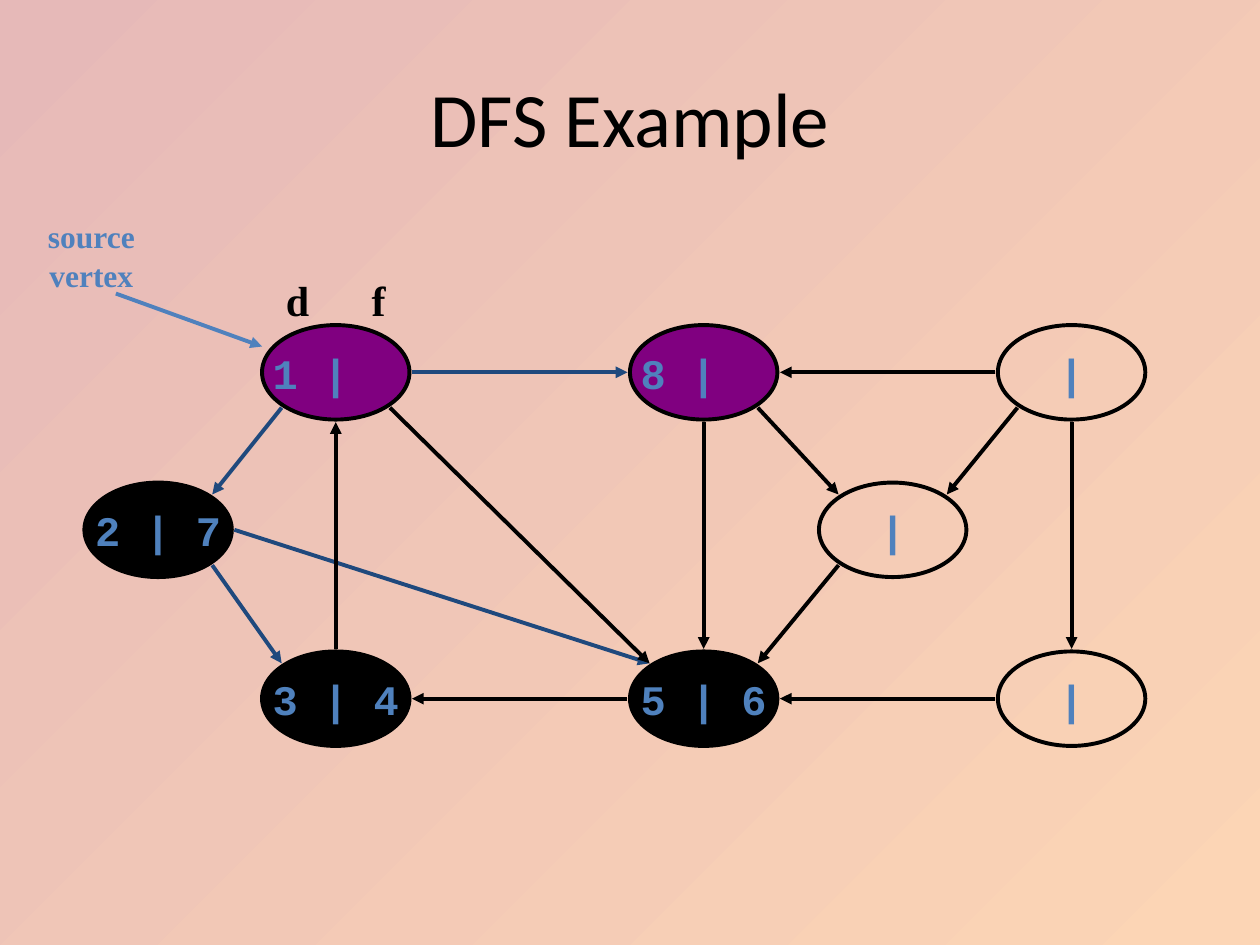
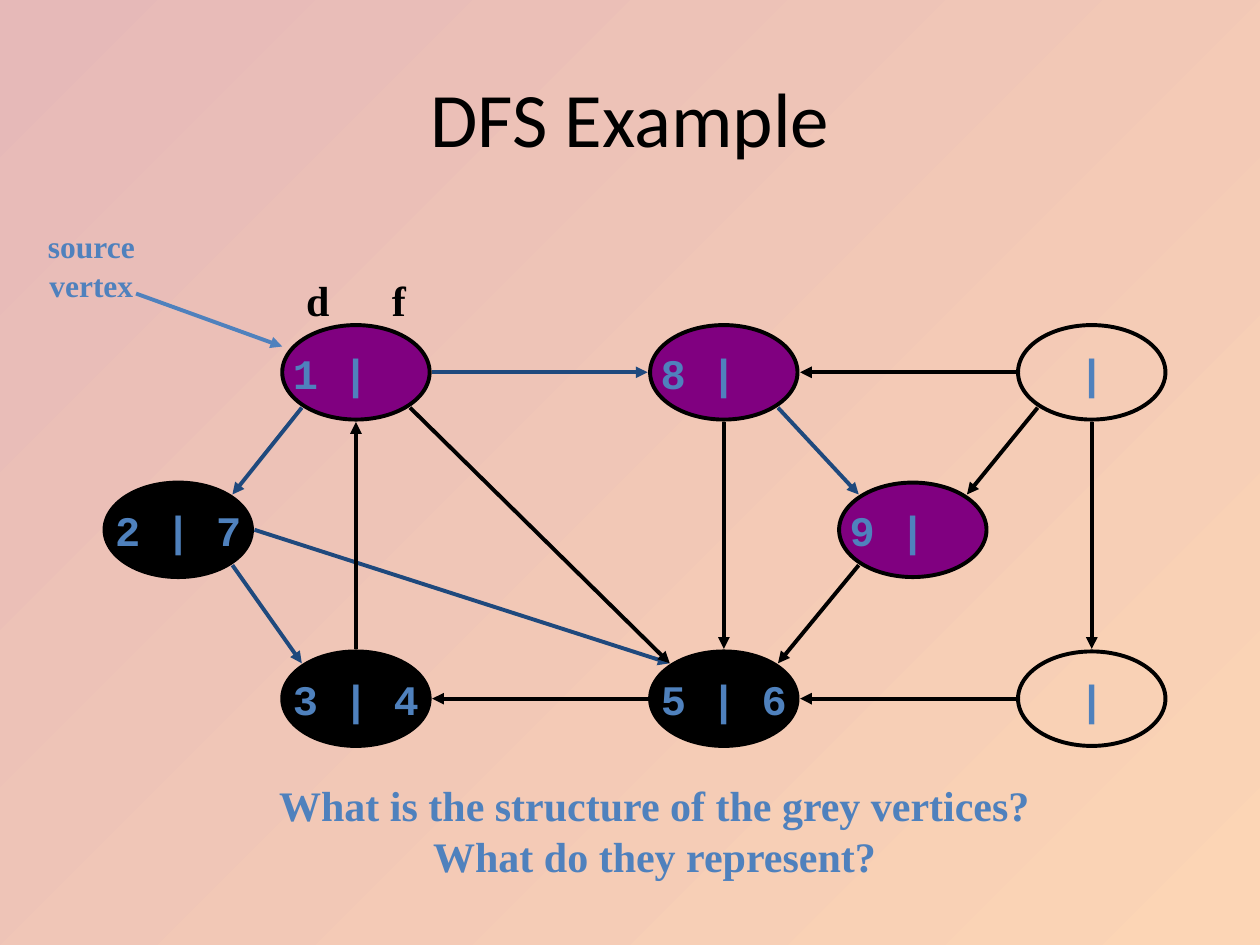
from pptx import Presentation
from pptx.dml.color import RGBColor
from pptx.enum import shapes, text
from pptx.oxml import parse_xml
from pptx.oxml.ns import nsdecls, qn
from pptx.util import Inches, Pt

BLACK, PURPLE = "000000", "800080"
BLUE, NAVY = "4F81BD", "1F497D"
PINK, PEACH = "E6B9B8", "FCD5B5"
TITLE_FONT, LABEL_FONT, NODE_FONT = "Calibri", "Times New Roman", "Courier New"

NODE_W, NODE_H = 1.17, 0.75
LINE_W = 2.25
CHAR_W = 0.2  # width of one node character
STEP = 2.92
COLS = [1.41 + i * STEP for i in range(3)]
TOP, MIDDLE, BOTTOM = 0, 1.25, 2.59

# Node places relative to the graph's top left corner
PLACES = {
    "source": (COLS[0], TOP), "top": (COLS[1], TOP), "top right": (COLS[2], TOP),
    "left": (0, MIDDLE), "inner": (5.83, MIDDLE),
    "bottom left": (COLS[0], BOTTOM), "bottom": (COLS[1], BOTTOM),
    "bottom right": (COLS[2], BOTTOM),
}
# Each edge: start node and side, end node and side
EDGES = [
    ("source", "sw", "left", "ne"),
    ("left", "se", "bottom left", "nw"),
    ("left", "e", "bottom", "nw"),
    ("bottom", "w", "bottom left", "e"),
    ("bottom left", "n", "source", "s"),
    ("source", "se", "bottom", "nw"),
    ("top", "s", "bottom", "n"),
    ("source", "e", "top", "w"),
    ("top right", "w", "top", "e"),
    ("top", "se", "inner", "nw"),
    ("top right", "sw", "inner", "ne"),
    ("top right", "s", "bottom right", "n"),
    ("bottom right", "w", "bottom", "e"),
    ("inner", "sw", "bottom", "ne"),
]
VISITED = {("source", "left"), ("left", "bottom left"),
           ("left", "bottom"), ("source", "top")}
TIMES = {"source": (1, None), "top": (8, None), "left": (2, 7),
         "bottom left": (3, 4), "bottom": (5, 6)}


def rgb(value):
    return RGBColor.from_string(value)


def style_run(r, font, size, color, bold=True):
    r.font.name, r.font.size, r.font.bold = font, Pt(size), bold
    r.font.color.rgb = rgb(color)


def add_title(s, title):
    p = s.shapes.title.text_frame.paragraphs[0]
    p.alignment = text.PP_ALIGN.CENTER
    r = p.add_run()
    r.text = title
    style_run(r, TITLE_FONT, 44, BLACK, bold=False)


def add_label(s, box, lines, size):
    """Centred bold lines that belong to one paragraph."""
    tf = s.shapes.add_textbox(*map(Inches, box)).text_frame
    tf.word_wrap = False
    p = tf.paragraphs[0]
    p.alignment = text.PP_ALIGN.CENTER
    p.line_spacing = Pt(round(size * 1.22, 1))
    for i, line in enumerate(lines):
        if i:
            p.add_line_break()
        r = p.add_run()
        r.text = line
        style_run(r, LABEL_FONT, size, BLUE)


def add_arrow(s, start, end, color):
    line = s.shapes.add_connector(shapes.MSO_CONNECTOR.STRAIGHT,
                                  *map(Inches, (*start, *end)))
    line.line.color.rgb = rgb(color)
    line.line.width = Pt(LINE_W)
    props = line._element.spPr
    props.find(qn("a:ln")).append(
        parse_xml(f'<a:tailEnd {nsdecls("a")} type="triangle"/>'))
    props.append(parse_xml(f'<a:effectLst {nsdecls("a")}/>'))


def add_node(s, x, y, found, finished):
    """Ellipse with discovery and finishing times on either side of a bar."""
    sp = s.shapes.add_shape(shapes.MSO_SHAPE.OVAL,
                            *map(Inches, (x, y, NODE_W, NODE_H)))
    sp.shadow.inherit = False
    sp.line.color.rgb = rgb(BLACK)
    sp.line.width = Pt(LINE_W)
    if found is None:
        sp.fill.background()
    else:
        sp.fill.solid()
        sp.fill.fore_color.rgb = rgb(PURPLE if finished is None else BLACK)
    tf = sp.text_frame
    tf.word_wrap = False
    tf.vertical_anchor = text.MSO_ANCHOR.MIDDLE
    half_open = found is not None and finished is None
    tf.margin_right = Inches(0.1 + 2 * CHAR_W * half_open)  # keeps the bar centred
    p = tf.paragraphs[0]
    p.alignment = text.PP_ALIGN.CENTER
    r = p.add_run()
    r.text = " ".join(str(t) for t in (found, "|", finished) if t is not None)
    style_run(r, NODE_FONT, 24, BLUE)


def add_time_heads(s, x, y):
    """The letters d and f above the source node."""
    tf = s.shapes.add_textbox(*map(Inches, (x, y, NODE_W, NODE_H))).text_frame
    tf.word_wrap = True
    tf.vertical_anchor = text.MSO_ANCHOR.MIDDLE
    tf.margin_left, tf.margin_right = Inches(0.19), 0
    p = tf.paragraphs[0]
    p._p.get_or_add_pPr().append(parse_xml(
        f'<a:tabLst {nsdecls("a")}><a:tab pos="{Inches(0.68)}" algn="l"/></a:tabLst>'))
    r = p.add_run()
    r.text = "d\tf"
    style_run(r, LABEL_FONT, 24, BLACK)


def side_point(x, y, side):
    """Point just outside a node, in a compass direction."""
    dx = ("e" in side) - ("w" in side)
    dy = ("s" in side) - ("n" in side)
    reach = 0.71 if dx and dy else 1
    return (x + NODE_W / 2 + dx * reach * (NODE_W / 2 + 0.02),
            y + NODE_H / 2 + dy * reach * (NODE_H / 2 + 0.02))


def add_graph(s, left, top, times, visited):
    places = {name: (left + x, top + y) for name, (x, y) in PLACES.items()}
    for name, place in places.items():
        add_node(s, *place, *times.get(name, (None, None)))
    for start, start_side, end, end_side in EDGES:
        add_arrow(s, side_point(*places[start], start_side),
                  side_point(*places[end], end_side),
                  NAVY if (start, end) in visited else BLACK)
    x, y = places["source"]
    add_arrow(s, (left + 0.25, top - 0.25), (x, y + 0.17), BLUE)
    add_time_heads(s, x, y - 0.58)


def add_example(prs, left, label_top, times, visited):
    s = prs.slides.add_slide(prs.slide_layouts[5])
    add_title(s, "DFS Example")
    add_label(s, (0.28, label_top, 0.89, 0.7), ["source", "vertex"], 18)
    add_graph(s, left, 2.58, times, visited)
    return s


def set_background(master):
    fill = master.background.fill
    fill.gradient()
    fill.gradient_angle = 315
    for stop, color, position in zip(fill.gradient_stops, (PINK, PEACH), (0, 1)):
        stop.color.rgb = rgb(color)
        stop.position = position


def main():
    prs = Presentation()
    prs.slide_width, prs.slide_height = Inches(10), Inches(7.5)
    set_background(prs.slide_master)
    add_example(prs, 0.67, 1.67, TIMES, VISITED)
    s = add_example(prs, 0.83, 1.75, {**TIMES, "inner": (9, None)},
                    VISITED | {("top", "inner")})
    add_label(s, (2.03, 6.13, 6.33, 0.9),
              ["What is the structure of the grey vertices?",
               "What do they represent?"], 24)
    prs.save("out.pptx")


if __name__ == "__main__":
    main()
